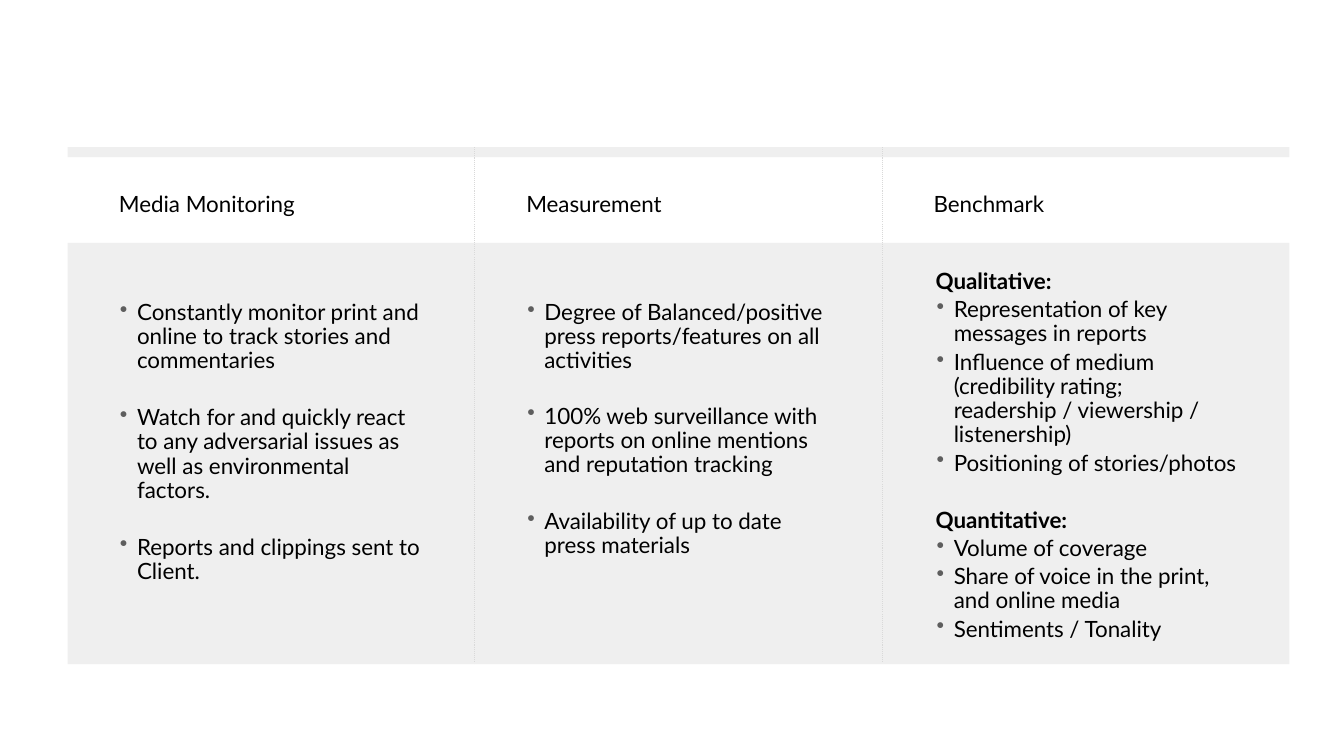
from dataclasses import dataclass

from lxml import etree
from pptx import Presentation
from pptx.dml.color import RGBColor
from pptx.enum.dml import MSO_LINE
from pptx.enum.shapes import MSO_CONNECTOR, MSO_SHAPE
from pptx.enum.text import MSO_ANCHOR, PP_ALIGN
from pptx.oxml.ns import qn
from pptx.slide import Slide
from pptx.text.text import TextFrame
from pptx.util import Inches, Pt

RECTANGLE = MSO_SHAPE.RECTANGLE
STRAIGHT = MSO_CONNECTOR.STRAIGHT
DOTTED = MSO_LINE.ROUND_DOT
TOP = MSO_ANCHOR.TOP
LEFT = PP_ALIGN.LEFT

BLACK = RGBColor(0x00, 0x00, 0x00)
PANEL_GRAY = RGBColor(0xEF, 0xEF, 0xEF)
DIVIDER_GRAY = RGBColor(0xD9, 0xD9, 0xD9)
BULLET_GRAY = RGBColor(0x5E, 0x5E, 0x5E)

FONT_NAME = "Lato"
FONT_SIZE = 16
TEXT_INSET = 0.13

# Column grid, in inches
GRID_LEFT = 0.67
COLUMN_WIDTH = 4.04
BAR_TOP = 1.46
BAR_HEIGHT = 0.1
PANEL_TOP = 2.41
PANEL_HEIGHT = 4.18
DIVIDER_BOTTOM = 6.57
HEADING_TOP = 1.72
HEADING_HEIGHT = 0.47
TEXT_OFFSET = 0.38
BODY_WIDTH = 3.27
BODY_HEIGHT = 3.06

# Space before paragraphs, in points
ITEM_GAP = 3
GROUP_GAP = 23.3


@dataclass(frozen=True)
class Item:
    text: str
    space_before: float = ITEM_GAP
    is_label: bool = False


@dataclass(frozen=True)
class Column:
    heading: str
    heading_width: float
    items: tuple[Item, ...]
    body_top: float = 2.86
    body_offset: float = TEXT_OFFSET


COLUMNS = (
    Column("Media Monitoring", 2.66, (
        Item("Constantly monitor print and online to track stories and commentaries", 0),
        Item("Watch for and quickly react to any adversarial issues as well as "
             "environmental factors.", GROUP_GAP),
        Item("Reports and clippings sent to Client.", GROUP_GAP),
    )),
    Column("Measurement", 2.68, (
        Item("Degree of Balanced/positive press reports/features on all activities", 0),
        Item("100% web surveillance with reports on online mentions and "
             "reputation tracking", 22.2),
        Item("Availability of up to date press materials", GROUP_GAP),
    )),
    Column("Benchmark", 1.54, (
        Item("Qualitative:", 0, is_label=True),
        Item("Representation of key messages in reports"),
        Item("Influence of medium (credibility rating; readership / viewership / "
             "listenership)"),
        Item("Positioning of stories/photos"),
        Item("Quantitative:", GROUP_GAP, is_label=True),
        Item("Volume of coverage"),
        Item("Share of voice in the print, and online media"),
        Item("Sentiments / Tonality"),
    ), body_top=2.55, body_offset=0.4),
)


def add_panel(slide: Slide, left: float, top: float, height: float) -> None:
    shape = slide.shapes.add_shape(
        RECTANGLE, Inches(left), Inches(top), Inches(COLUMN_WIDTH), Inches(height))
    shape.shadow.inherit = False
    shape.fill.solid()
    shape.fill.fore_color.rgb = PANEL_GRAY
    shape.line.fill.background()


def add_text_frame(slide: Slide, left: float, top: float, width: float,
                   height: float) -> TextFrame:
    box = slide.shapes.add_textbox(
        Inches(left), Inches(top), Inches(width), Inches(height))
    text_frame = box.text_frame
    text_frame.word_wrap = True
    text_frame.vertical_anchor = TOP
    text_frame.margin_left = text_frame.margin_right = Inches(TEXT_INSET)
    text_frame.margin_top = text_frame.margin_bottom = Inches(TEXT_INSET)
    return text_frame


def format_paragraph(paragraph, line_spacing: float, bold: bool = False) -> None:
    paragraph.alignment = LEFT
    paragraph.line_spacing = line_spacing
    for run in paragraph.runs:
        run.font.name = FONT_NAME
        run.font.size = Pt(FONT_SIZE)
        run.font.bold = bold
        run.font.color.rgb = BLACK


def add_bullet(paragraph) -> None:
    paragraph.level = 1
    properties = paragraph._p.get_or_add_pPr()
    properties.set("marL", str(Inches(0.18)))
    properties.set("indent", str(Inches(-0.17)))
    color = etree.SubElement(properties, qn("a:buClr"))
    etree.SubElement(color, qn("a:srgbClr"), val=str(BULLET_GRAY))
    etree.SubElement(properties, qn("a:buChar"), char="•")


def add_column(slide: Slide, column: Column, left: float) -> None:
    add_panel(slide, left, PANEL_TOP, PANEL_HEIGHT)
    add_panel(slide, left, BAR_TOP, BAR_HEIGHT)

    heading = add_text_frame(slide, left + TEXT_OFFSET, HEADING_TOP,
                             column.heading_width, HEADING_HEIGHT)
    heading.text = column.heading
    format_paragraph(heading.paragraphs[0], 1.15)

    body = add_text_frame(slide, left + column.body_offset, column.body_top,
                          BODY_WIDTH, BODY_HEIGHT)
    body.text = "\n".join(item.text for item in column.items)
    for paragraph, item in zip(body.paragraphs, column.items):
        if not item.is_label:
            add_bullet(paragraph)
        paragraph.space_before = Pt(item.space_before)
        format_paragraph(paragraph, 0.9, bold=item.is_label)


def add_divider(slide: Slide, left: float) -> None:
    divider = slide.shapes.add_connector(
        STRAIGHT, Inches(left), Inches(BAR_TOP), Inches(left), Inches(DIVIDER_BOTTOM))
    divider.line.color.rgb = DIVIDER_GRAY
    divider.line.width = Pt(0.75)
    divider.line.dash_style = DOTTED
    etree.SubElement(divider._element.spPr, qn("a:effectLst"))


def main() -> None:
    presentation = Presentation()
    presentation.slide_width = Inches(13.33)
    presentation.slide_height = Inches(7.5)
    slide = presentation.slides.add_slide(presentation.slide_layouts[6])

    # Columns with their bars, panels and text
    for index, column in enumerate(COLUMNS):
        add_column(slide, column, GRID_LEFT + index * COLUMN_WIDTH)

    # Dotted lines between the columns
    for index in range(1, len(COLUMNS)):
        add_divider(slide, GRID_LEFT + index * COLUMN_WIDTH)

    presentation.save("out.pptx")


if __name__ == "__main__":
    main()
